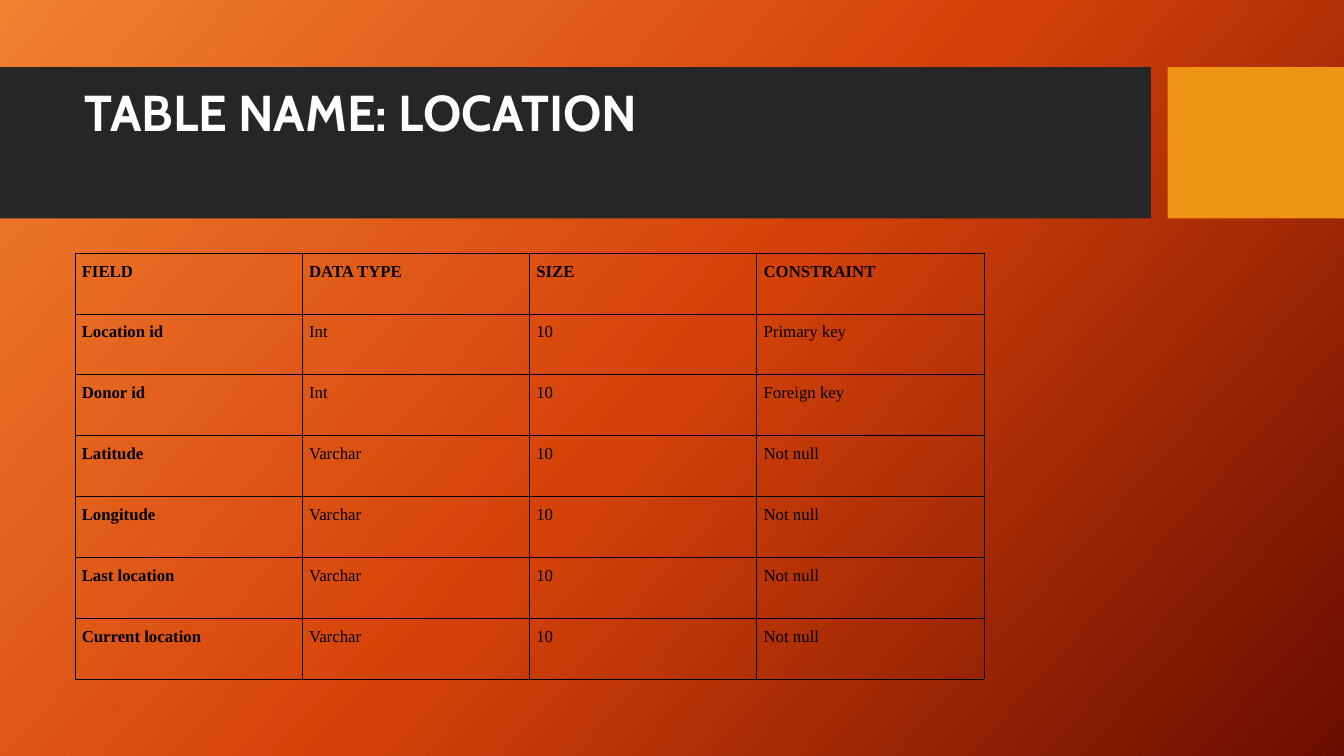
from lxml import etree
from pptx import Presentation, util as u
from pptx.dml.color import RGBColor
from pptx.enum import shapes, text
from pptx.oxml.ns import qn

COLORS = {"bar": "262626", "accent": "F09415", "title": "FFFFFF", "ink": "000000",
          "glow": "F18031", "flame": "D54209", "ember": "6A0D00"}
FONTS = {"title": {"name": "Cabin", "size": u.Pt(36), "bold": True},
         "cell": {"name": "Times New Roman", "size": u.Pt(12)}}
COLUMNS, ROWS = 160, 90

FIELDS = [
    ("FIELD", "DATA TYPE", "SIZE", "CONSTRAINT"),
    ("Location id", "Int", "10", "Primary key"),
    ("Donor id", "Int", "10", "Foreign key"),
    ("Latitude", "Varchar", "10", "Not null"),
    ("Longitude", "Varchar", "10", "Not null"),
    ("Last location", "Varchar", "10", "Not null"),
    ("Current location", "Varchar", "10", "Not null"),
]


def apply(target, values):
    for name, value in values.items():
        setattr(target, name, value)


def add_color(parent, color):
    etree.SubElement(parent, qn("a:srgbClr"), val=COLORS[color])


class SlideBuilder:
    def __init__(self, prs):
        self.prs = prs
        self.s = prs.slides.add_slide(prs.slide_layouts[5])

    def box(self, col, row, cols, rows):
        w, h = self.prs.slide_width / COLUMNS, self.prs.slide_height / ROWS
        return [round(v) for v in (col * w, row * h, cols * w, rows * h)]

    def background(self, stops, angle):
        fill = self.s.background.fill
        fill.gradient()
        fill.gradient_angle = 360 - angle
        stop_list = self.s.element.find(".//" + qn("a:gsLst"))
        stop_list.clear()
        for percent, color in stops:
            stop = etree.SubElement(stop_list, qn("a:gs"), pos=str(percent * 1000))
            add_color(stop, color)

    def rect(self, area, color):
        sp = self.s.shapes.add_shape(shapes.MSO_SHAPE.RECTANGLE, *self.box(*area))
        sp.shadow.inherit = False
        sp.fill.solid()
        sp.fill.fore_color.rgb = RGBColor.from_string(COLORS[color])
        sp.line.fill.background()

    def label(self, tf, words, style, color, spacing, bold):
        p = tf.paragraphs[0]
        apply(p, {"alignment": text.PP_ALIGN.LEFT, "line_spacing": spacing})
        r = p.add_run()
        r.text = words
        apply(r.font, FONTS[style] | {"bold": bold})
        r.font.color.rgb = RGBColor.from_string(COLORS[color])

    def title(self, area, words):
        sp = self.s.shapes.title
        sp.element.getparent().append(sp.element)
        left, top, width, height = self.box(*area)
        apply(sp, {"left": left, "top": top, "width": width, "height": height})
        apply(sp.text_frame, {"word_wrap": True, "auto_size": text.MSO_AUTO_SIZE.NONE,
                              "vertical_anchor": text.MSO_ANCHOR.TOP})
        self.label(sp.text_frame, words, "title", "title", 0.9, True)

    def border(self, cell):
        props = cell._tc.get_or_add_tcPr()
        for side in ("lnL", "lnR", "lnT", "lnB"):
            line = etree.SubElement(props, qn("a:" + side), w=str(u.Pt(0.25)))
            add_color(etree.SubElement(line, qn("a:solidFill")), "ink")

    def table(self, area, records):
        left, top, width, height = self.box(*area)
        count, fields = len(records), len(records[0])
        table = self.s.shapes.add_table(count, fields, left, top, width, height).table
        apply(table, {"first_row": False, "horz_banding": False})
        for column in table.columns:
            column.width = width // fields
        for i, record in enumerate(records):
            table.rows[i].height = height // count
            for j, words in enumerate(record):
                cell = table.cell(i, j)
                apply(cell, {"margin_left": u.Inches(0.07), "margin_right": u.Inches(0.07),
                             "margin_top": 0, "margin_bottom": 0,
                             "vertical_anchor": text.MSO_ANCHOR.TOP})
                self.border(cell)
                cell.fill.background()
                self.label(cell.text_frame, words, "cell", "ink", 1.5, i == 0 or j == 0)


def main():
    prs = Presentation()
    apply(prs, {"slide_width": u.Inches(13.33), "slide_height": u.Inches(7.5)})
    slide = SlideBuilder(prs)
    slide.background([(0, "glow"), (50, "flame"), (100, "ember")], 42)
    slide.rect((0, 8, 137, 18), "bar")
    slide.rect((139, 8, 21, 18), "accent")
    slide.title((8.9, 9.85, 126.1, 14.2), "TABLE NAME: LOCATION")
    slide.table((8.9, 30.1, 108.25, 50.7), FIELDS)
    prs.save("out.pptx")


if __name__ == "__main__":
    main()
